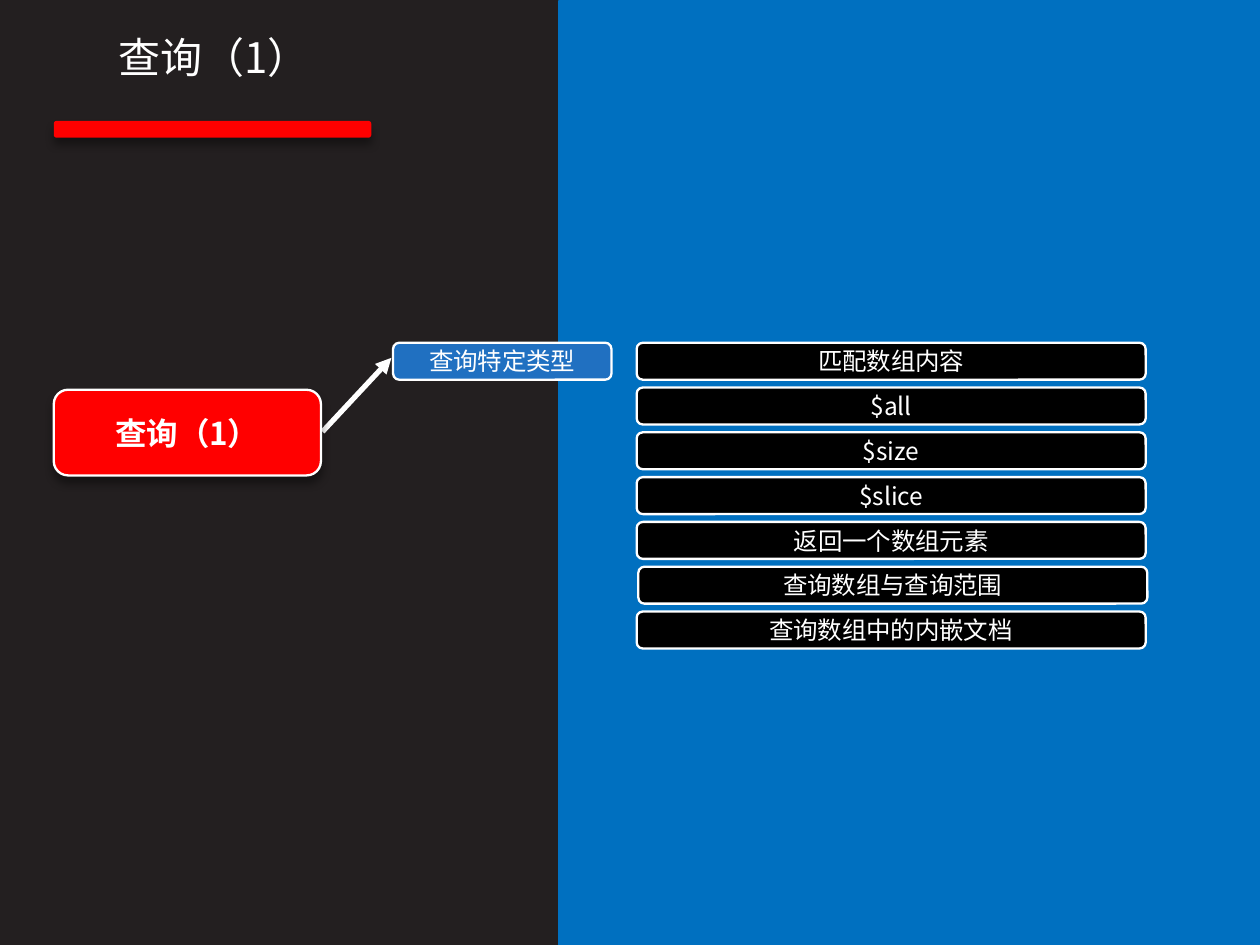
from lxml import etree
from pptx import Presentation
from pptx.dml.color import RGBColor
from pptx.enum.shapes import MSO_CONNECTOR, MSO_SHAPE
from pptx.enum.text import MSO_ANCHOR, MSO_AUTO_SIZE, PP_ALIGN
from pptx.oxml import parse_xml
from pptx.oxml.ns import nsdecls, qn
from pptx.util import Inches, Pt

FONT = "Noto Sans CJK SC"
WHITE, RED, BLUE, BLACK = "FFFFFF", "FF0000", "0070C0", "000000"
SHADOW = (
    f'<a:outerShdw {nsdecls("a")} blurRad="{Pt(4)}" dist="{Pt(3)}" dir="5400000" rotWithShape="0">'
    '<a:srgbClr val="000000"><a:alpha val="40000"/></a:srgbClr></a:outerShdw>'
)


def write(frame, text, size, bold=False):
    paragraph = frame.paragraphs[0]
    paragraph.alignment = PP_ALIGN.CENTER
    run = paragraph.add_run()
    run.text = text
    run.font.size, run.font.bold, run.font.name = Pt(size), bold, FONT
    run.font.color.rgb = RGBColor.from_string(WHITE)
    etree.SubElement(run.font._element, qn("a:ea"), typeface=FONT)


def add_block(box, fill, line=None, weight=1, kind=MSO_SHAPE.ROUNDED_RECTANGLE,
              shadow=False, text=None, size=10.5, bold=False):
    block = slide.shapes.add_shape(kind, *map(Inches, box))
    block.shadow.inherit = False
    if shadow:
        block._element.spPr.find(qn("a:effectLst")).append(parse_xml(SHADOW))
    block.fill.solid()
    block.fill.fore_color.rgb = RGBColor.from_string(fill)
    if line:
        block.line.color.rgb = RGBColor.from_string(line)
        block.line.width = Pt(weight)
    else:
        block.line.fill.background()
    if text:
        frame = block.text_frame
        frame.vertical_anchor = MSO_ANCHOR.MIDDLE
        frame.margin_top = frame.margin_bottom = 0
        write(frame, text, size, bold)


# Slide in 4:3 format
WIDTH = 7.5
HEIGHT = WIDTH * 3 / 4
deck = Presentation()
deck.slide_width, deck.slide_height = Inches(WIDTH), Inches(HEIGHT)
slide = deck.slides.add_slide(deck.slide_layouts[5])

# Dark background, title rule and blue panel
slide.background.fill.solid()
slide.background.fill.fore_color.rgb = RGBColor.from_string("231F20")
LEFT = 0.32
add_block((LEFT, 0.72, 1.89, 0.1), RED, shadow=True)
add_block((3.34, 0.01, 4.16, 5.61), BLUE, line=BLUE, weight=3, kind=MSO_SHAPE.RECTANGLE)

# Title
title = slide.shapes.title
title.left, title.top, title.width, title.height = map(Inches, (0.27, 0.14, 2.01, 0.55))
title.text_frame.auto_size = MSO_AUTO_SIZE.NONE
title.text_frame.vertical_anchor = MSO_ANCHOR.TOP
title.text_frame.margin_top = Inches(0.05)
write(title.text_frame, "查询（1）", 18)

# Arrow from the topic to its branch
arrow = slide.shapes.add_connector(
    MSO_CONNECTOR.STRAIGHT, *map(Inches, (1.92, 2.57, 2.33, 2.13)))
arrow.line.color.rgb = RGBColor.from_string(WHITE)
arrow.line.width = Pt(2.25)
etree.SubElement(arrow.line._get_or_add_ln(), qn("a:tailEnd"), type="triangle")
etree.SubElement(arrow._element.spPr, qn("a:effectLst"))

# Topic and branch
ROW_TOP, ROW_HEIGHT, ROW_PITCH = 2.04, 0.22, 1.6 / 6
add_block((LEFT, 2.32, 1.59, 0.51), RED, line=WHITE, shadow=True,
          text="查询（1）", size=13.5, bold=True)
add_block((2.34, ROW_TOP, 1.3, ROW_HEIGHT), "2070C1", line=WHITE, text="查询特定类型")

# Query operations, one per row
operations = ["匹配数组内容", "$all", "$size", "$slice", "返回一个数组元素",
              "查询数组与查询范围", "查询数组中的内嵌文档"]
INDENTS = {"查询数组与查询范围": 0.01}
for row, operation in enumerate(operations):
    left = 3.79 + INDENTS.get(operation, 0)
    add_block((left, ROW_TOP + row * ROW_PITCH, 3.03, ROW_HEIGHT),
              BLACK, line=WHITE, text=operation)

deck.save("out.pptx")
